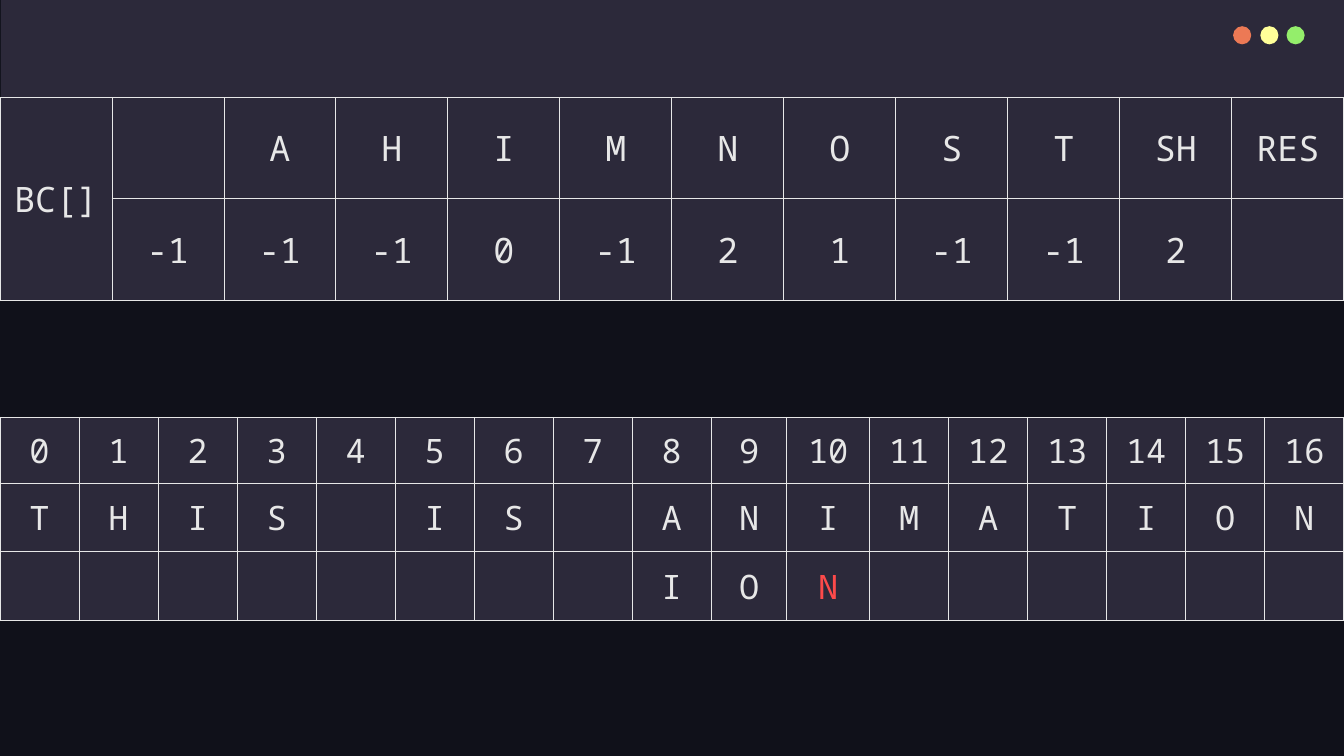
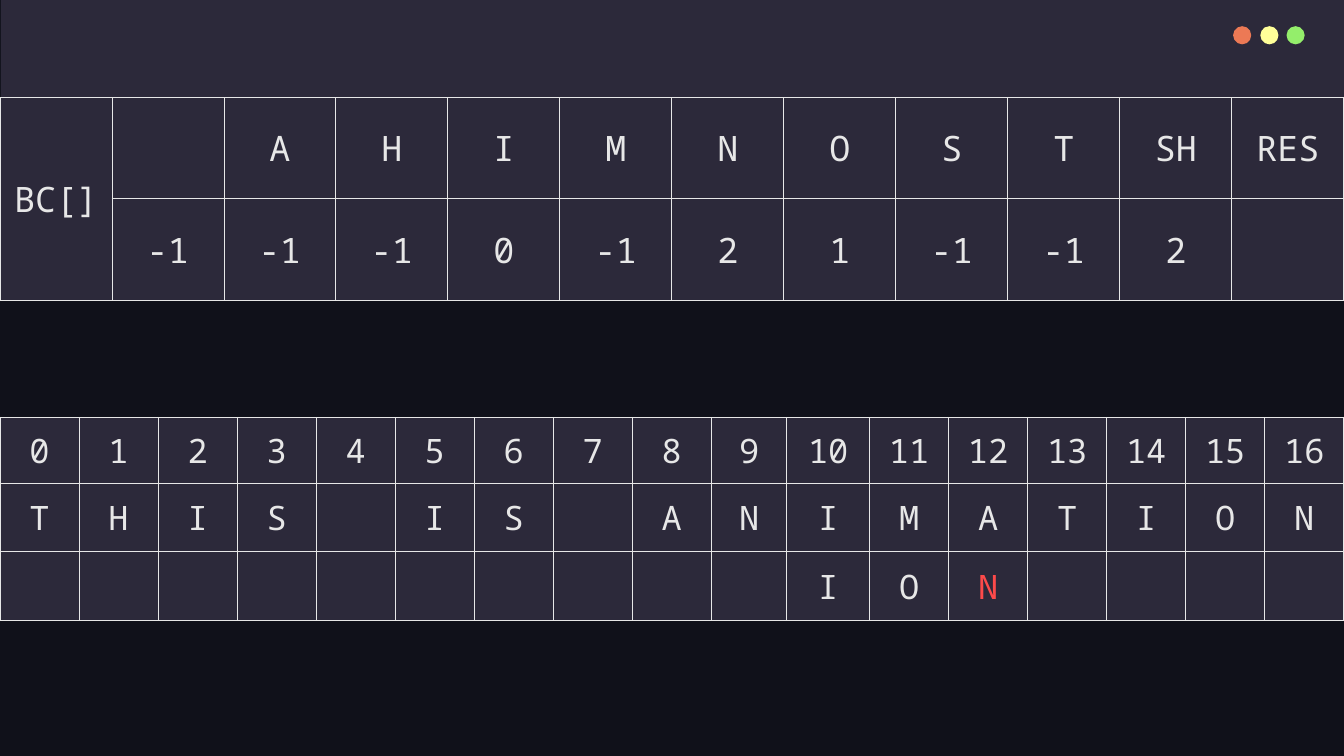
from lxml import etree
from pptx import Presentation
from pptx.dml.color import RGBColor
from pptx.enum import shapes, text
from pptx.oxml import ns
from pptx.util import Inches, Pt

# Shared look
FONT = "Noto Sans Mono"
BACK, PANEL, PALE, RED = "10111A", "2C293A", "E7E7E7", "FD4A4A"
DOTS = [(12.23, "EC7955"), (12.5, "FFFF99"), (12.76, "94EE6B")]
WIDE = 13.33

# Shift table: one column per letter
SHIFTS = [
    ["BC[]", "", *"AHIMNOST", "SH", "RES"],
    ["", "-1", "-1", "-1", "0", "-1", "2", "1", "-1", "-1", "2", ""],
]
SHIFT_COLS = [WIDE / 12] * 12

# Search table: the pattern slides along the phrase
PHRASE = "THIS IS ANIMATION"
PATTERN = "ION"
STEP = (WIDE - 0.75 - 0.82) / 15
PHRASE_COLS = [STEP] * 9 + [0.75, 0.82] + [STEP] * 6


def paint(fill, color):
    fill.solid()
    fill.fore_color.rgb = RGBColor.from_string(color)


def write(cell, words, size=24, color=PALE):
    cell.vertical_anchor = text.MSO_ANCHOR.MIDDLE
    cell.margin_left = cell.margin_right = Inches(0.13)
    cell.margin_top = cell.margin_bottom = Inches(0.1)
    para = cell.text_frame.paragraphs[0]
    para.alignment = text.PP_ALIGN.CENTER
    if words:
        run = para.add_run()
        run.text = words
        run.font.name, run.font.size = FONT, Pt(size)
        paint(run.font.fill, color)


deck = Presentation()
deck.slide_width, deck.slide_height = Inches(WIDE), Inches(7.5)
paint(deck.slide_master.background.fill, BACK)

for start in (8, 10):
    slide = deck.slides.add_slide(deck.slide_layouts[6])

    # Window bar with three dots
    parts = [(shapes.MSO_SHAPE.RECTANGLE, 0.01, 0, WIDE, 1.69, PANEL)]
    parts += [(shapes.MSO_SHAPE.OVAL, x, 0.26, 0.18, 0.18, tint) for x, tint in DOTS]
    for kind, x, y, w, h, tint in parts:
        part = slide.shapes.add_shape(kind, Inches(x), Inches(y), Inches(w), Inches(h))
        part.shadow.inherit = False
        part.line.fill.background()
        paint(part.fill, tint)

    # Pattern under the phrase, its last letter in red
    trial = [""] * len(PHRASE)
    end = start + len(PATTERN)
    trial[start:end] = PATTERN
    search = [[str(i) for i in range(len(PHRASE))], [c.strip() for c in PHRASE], trial]

    # Both tables
    for top, size, rows, cols, highs, mark in (
        (4.14, 24, search, PHRASE_COLS, [0.65, 0.68, 0.68], (2, end - 1)),
        (0.97, 25, SHIFTS, SHIFT_COLS, [1, 1.01], None),
    ):
        table = slide.shapes.add_table(
            len(rows), len(cols), 0, Inches(top), Inches(WIDE), Inches(sum(highs))
        ).table
        table.first_row = table.horz_banding = False
        for col, w in zip(table.columns, cols):
            col.width = Inches(w)
        for row, h in zip(table.rows, highs):
            row.height = Inches(h)

        for r, row in enumerate(rows):
            for c, words in enumerate(row):
                cell = table.cell(r, c)
                write(cell, words, size=size, color=RED if (r, c) == mark else PALE)
                props = cell._tc.get_or_add_tcPr()
                for side in ("lnL", "lnR", "lnT", "lnB"):
                    edge = etree.SubElement(props, ns.qn("a:" + side), w=str(Pt(0.75)))
                    solid = etree.SubElement(edge, ns.qn("a:solidFill"))
                    etree.SubElement(solid, ns.qn("a:srgbClr"), val=PALE)
                paint(cell.fill, PANEL)

        # The label spans both rows of the shift table
        if rows is SHIFTS:
            table.cell(0, 0).merge(table.cell(1, 0))

deck.save("out.pptx")
